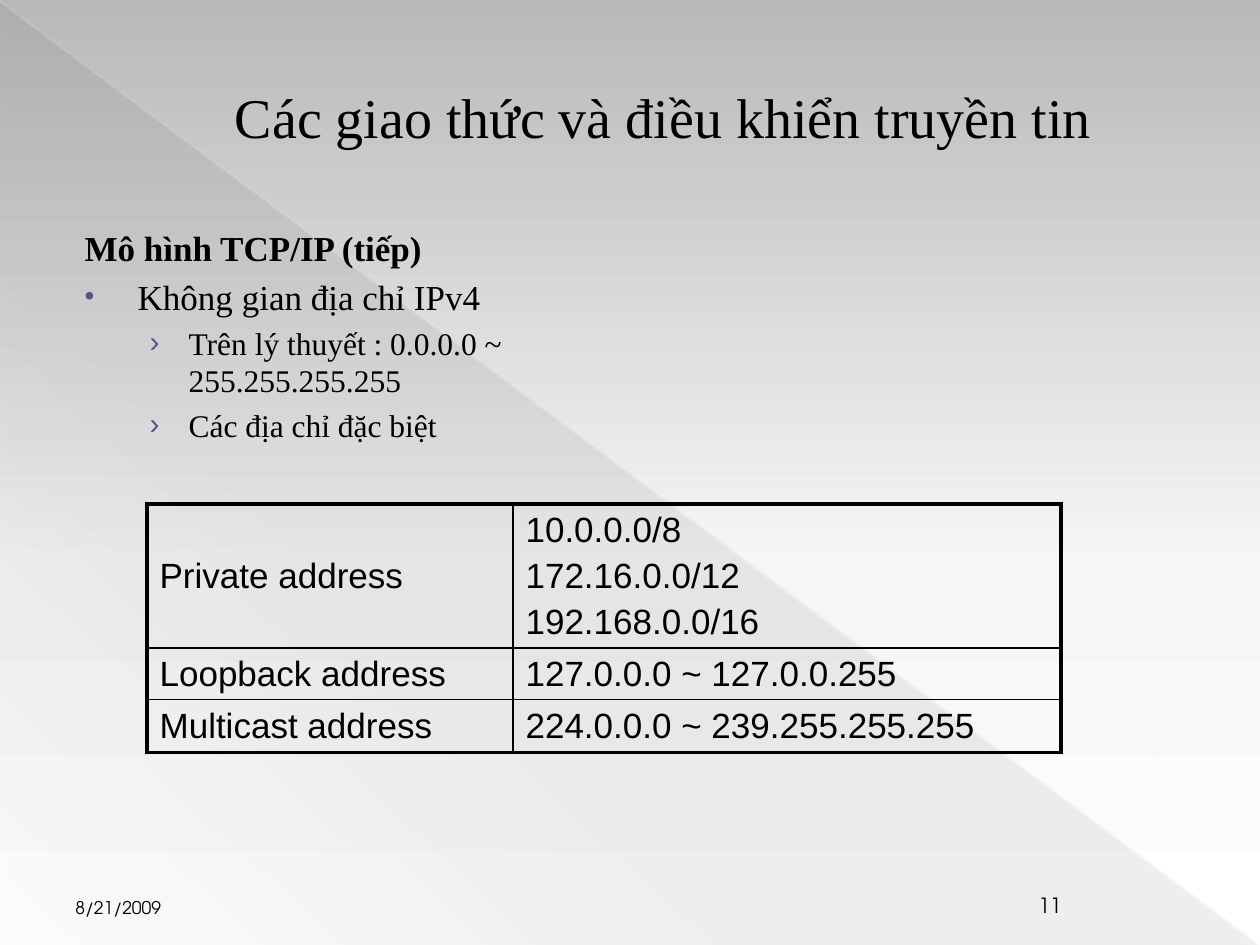
from lxml import etree
from pptx import Presentation
from pptx.dml.color import RGBColor
from pptx.enum import shapes, text
from pptx.oxml import ns
from pptx import util as u

BLACK = RGBColor(0x00, 0x00, 0x00)
SLATE = RGBColor(0x42, 0x44, 0x56)
INDIGO = RGBColor(0x53, 0x54, 0x8A)
PALE = RGBColor(0xEE, 0xEE, 0xEE)
PALER = RGBColor(0xEF, 0xEF, 0xEF)
SILVER = RGBColor(0xB9, 0xB9, 0xB9)
MIST = RGBColor(0xF6, 0xF6, 0xF6)
WHITE = RGBColor(0xFF, 0xFF, 0xFF)

SERIF = "Times New Roman"
SANS = "Arial"
ROUND = "TeX Gyre Adventor"


def px(length):
    return u.Emu(round(length * 914400 / 126))


def add_node(parent, tag, **attributes):
    node = etree.SubElement(parent, ns.qn(tag))
    for name, value in attributes.items():
        node.set(name, str(value))
    return node


def add_colour(parent, colour, alpha=100):
    node = add_node(parent, "a:srgbClr", val=colour)
    if alpha < 100:
        add_node(node, "a:alpha", val=alpha * 1000)


def set_gradient(fill_node, stops, angle):
    for child in list(fill_node):
        fill_node.remove(child)
    stop_list = add_node(fill_node, "a:gsLst")
    for position, colour, alpha in stops:
        add_colour(add_node(stop_list, "a:gs", pos=position * 1000), colour, alpha)
    add_node(fill_node, "a:lin", ang=angle * 60000, scaled=0)


def write_text(frame, words, size=20, font=SERIF, bold=False, align=None, level=0,
               margin=0, hang=0, bullet=None, bullet_size=100, spacing=0):
    para = frame.paragraphs[0]
    if para.runs:
        para = frame.add_paragraph()
    para.level = level
    para.alignment = align
    span = para.add_run()
    span.text = words
    span.font.size = u.Pt(size)
    span.font.name = font
    span.font.bold = bold
    span.font.color.rgb = BLACK
    style = para._p.get_or_add_pPr()
    style.set("marL", str(px(margin)))
    style.set("indent", str(-px(hang)))
    before = add_node(style, "a:spcBef")
    add_node(before, "a:spcPct", val=spacing * 1000)
    if bullet:
        add_colour(add_node(style, "a:buClr"), INDIGO)
        add_node(style, "a:buSzPct", val=bullet_size * 1000)
        add_node(style, "a:buFont", typeface=SANS)
        add_node(style, "a:buChar", char=bullet)
    else:
        add_node(style, "a:buNone")


class SlideBuilder:
    spacing = 20

    def __init__(self, deck):
        self.page = deck.slides.add_slide(deck.slide_layouts[1])
        self.backdrop_count = 0

    def background(self, stops, angle):
        fill = self.page.background.fill
        fill.gradient()
        set_gradient(self.page._element.find(".//" + ns.qn("a:gradFill")), stops, angle)

    def send_back(self, shape):
        self.page.shapes._spTree.insert(2 + self.backdrop_count, shape._element)
        self.backdrop_count += 1

    def triangle(self, left, top, width, height, stops, angle):
        shape = self.page.shapes.add_shape(
            shapes.MSO_SHAPE.RIGHT_TRIANGLE, px(left), px(top), px(width), px(height))
        shape.shadow.inherit = False
        shape.line.fill.background()
        shape.fill.gradient()
        set_gradient(shape._element.spPr.find(ns.qn("a:gradFill")), stops, angle)
        self.send_back(shape)

    def line(self, start, end, colour, width, alpha):
        line = self.page.shapes.add_connector(
            shapes.MSO_CONNECTOR.STRAIGHT, *map(px, start + end))
        line.line.color.rgb = colour
        line.line.width = u.Pt(width)
        colour_node = line._element.spPr.find(".//" + ns.qn("a:srgbClr"))
        add_node(colour_node, "a:alpha", val=alpha * 1000)
        add_node(line._element.spPr, "a:effectLst")
        self.send_back(line)

    def placeholder(self, index, left, top, width, height, anchor):
        box = self.page.placeholders[index]
        box.left, box.top, box.width, box.height = map(px, (left, top, width, height))
        frame = box.text_frame
        frame.auto_size = text.MSO_AUTO_SIZE.NONE
        frame.word_wrap = True
        frame.vertical_anchor = anchor
        return frame

    def title(self, words, *bounds):
        frame = self.placeholder(0, *bounds, text.MSO_ANCHOR.MIDDLE)
        write_text(frame, words, size=32, align=text.PP_ALIGN.CENTER, margin=67)

    def body(self, items, *bounds):
        frame = self.placeholder(1, *bounds, text.MSO_ANCHOR.TOP)
        for words, style in items:
            write_text(frame, words, spacing=self.spacing, **style)

    def footer(self, words, left, top, width, height, **style):
        box = self.page.shapes.add_textbox(px(left), px(top), px(width), px(height))
        box.text_frame.word_wrap = True
        box.text_frame.vertical_anchor = text.MSO_ANCHOR.BOTTOM
        write_text(box.text_frame, words, font=ROUND, **style)

    def table(self, rows, left, top, widths, heights):
        table = self.page.shapes.add_table(
            len(rows), len(widths), px(left), px(top),
            px(sum(widths)), px(sum(heights))).table
        table.first_row = table.horz_banding = False
        for column, width in zip(table.columns, widths):
            column.width = px(width)
        for row, height in zip(table.rows, heights):
            row.height = px(height)
        for r, row in enumerate(rows):
            for c, lines in enumerate(row):
                cell = table.cell(r, c)
                cell.fill.background()
                cell.vertical_anchor = text.MSO_ANCHOR.MIDDLE
                for words in lines:
                    write_text(cell.text_frame, words, font=SANS, spacing=self.spacing)
                self.borders(cell, (c == 0, c == len(row) - 1, r == 0, r == len(rows) - 1))

    def borders(self, cell, outer_sides):
        style = cell._tc.get_or_add_tcPr()
        for order, (side, outer) in enumerate(zip("LRTB", outer_sides)):
            edge = add_node(style, "a:ln" + side, w=u.Pt(2.25 if outer else 1))
            add_colour(add_node(edge, "a:solidFill"), BLACK)
            style.insert(order, edge)


def main():
    deck = Presentation()
    deck.slide_width, deck.slide_height = px(1260), px(945)
    slide = SlideBuilder(deck)

    slide.background([(0, SILVER, 100), (60, MIST, 100), (100, WHITE, 100)], 90)
    slide.triangle(1, 3, 1257, 942, [(0, SLATE, 10), (70, SLATE, 8), (100, SLATE, 1)], 133)
    slide.line((0, 1), (1259, 944), PALE, 0.39, 35)
    slide.line((1260, 682), (891, 944), PALER, 0.47, 45)

    slide.title("Các giao thức và điều khiển truyền tin", 63, 38, 1134, 157)
    first = dict(margin=62, hang=53)
    second = dict(level=1, size=18, margin=113, hang=39, bullet="›", bullet_size=95)
    slide.body([
        ("Mô hình TCP/IP (tiếp)", dict(first, bold=True)),
        ("Không gian địa chỉ IPv4", dict(first, bullet="•", bullet_size=80)),
        ("Trên lý thuyết : 0.0.0.0 ~ 255.255.255.255", second),
        ("Các địa chỉ đặc biệt", second),
    ], 63, 220, 557, 273)

    slide.table([
        (["Private address"], ["10.0.0.0/8", "172.16.0.0/12", "192.168.0.0/16"]),
        (["Loopback address"], ["127.0.0.0 ~ 127.0.0.255"]),
        (["Multicast address"], ["224.0.0.0 ~ 239.255.255.255"]),
    ], 147, 504, (366, 548), (144, 51, 53))

    slide.footer("8/21/2009", 63, 861, 294, 63, size=10)
    slide.footer("11", 903, 861, 294, 63, size=12, align=text.PP_ALIGN.CENTER)
    deck.save("out.pptx")


if __name__ == "__main__":
    main()
